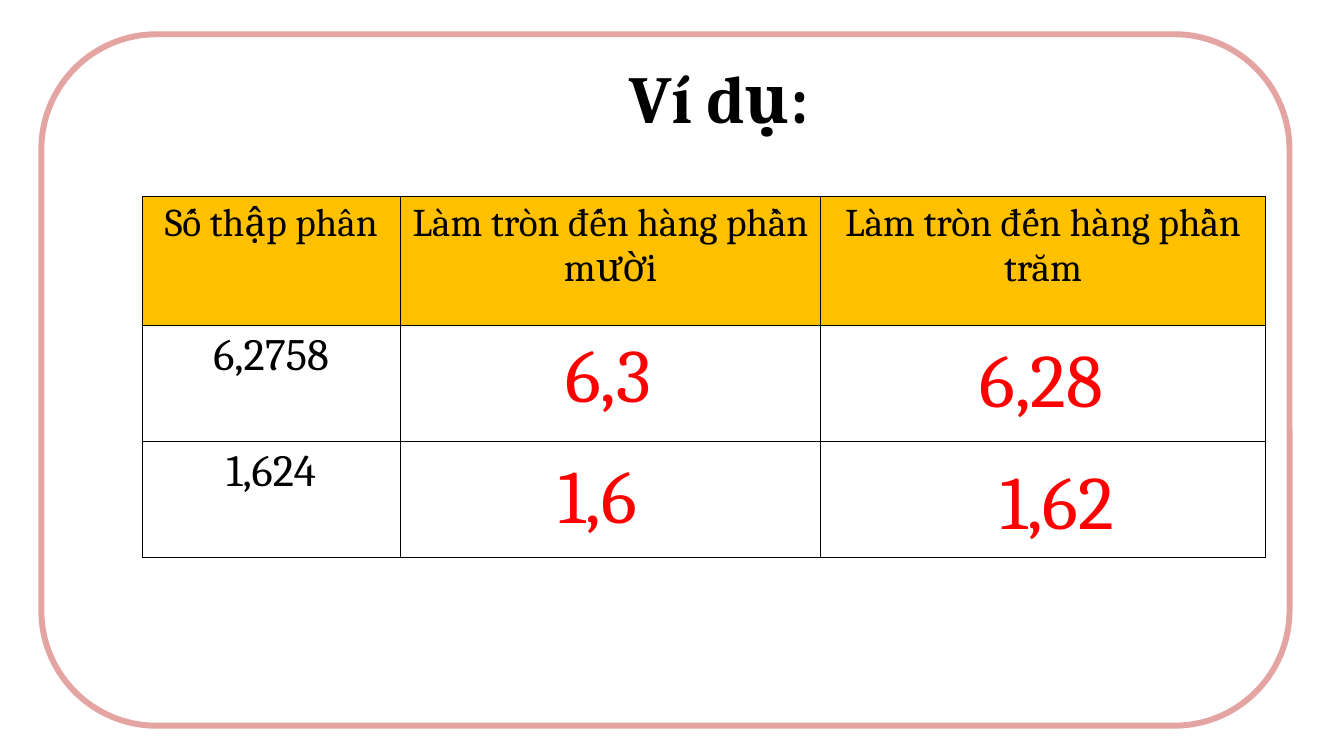
from lxml.etree import SubElement
from pptx import Presentation
from pptx.dml.color import RGBColor
from pptx.enum.shapes import MSO_SHAPE
from pptx.enum.text import MSO_ANCHOR, MSO_AUTO_SIZE, PP_ALIGN
from pptx.oxml.ns import qn
from pptx.util import Inches, Pt


def color(code):
    return RGBColor.from_string(code)


def write(text_frame, text, size, code="000000", bold=False, align=PP_ALIGN.LEFT):
    text_frame.word_wrap = True
    paragraph = text_frame.paragraphs[0]
    paragraph.alignment = align
    span = paragraph.add_run()
    span.text = text
    span.font.name = "Cambria"
    span.font.size = Pt(size)
    span.font.bold = bold
    span.font.color.rgb = color(code)


deck = Presentation()
deck.slide_width = Inches(13.33)
deck.slide_height = Inches(7.5)
page = deck.slides.add_slide(deck.slide_layouts[5])

title = page.shapes.title
title.left, title.top = Inches(6.14), Inches(0.51)
title.width, title.height = Inches(2.31), Inches(0.91)
title.text_frame.auto_size = MSO_AUTO_SIZE.NONE
title.text_frame.vertical_anchor = MSO_ANCHOR.TOP
write(title.text_frame, "Ví dụ:", 48, bold=True)

frame = page.shapes.add_shape(
    MSO_SHAPE.ROUNDED_RECTANGLE, Inches(0.41), Inches(0.34), Inches(12.38), Inches(6.86)
)
frame.shadow.inherit = False
frame.fill.solid()
frame.fill.fore_color.rgb = color("FFFFFF")
frame.line.color.rgb = color("E4A4A2")
frame.line.width = Pt(4.25)
title.element.addprevious(frame.element)

rows = [
    ["Số thập phân", "Làm tròn đến hàng phần mười", "Làm tròn đến hàng phần trăm"],
    ["6,2758", "", ""],
    ["1,624", "", ""],
]
row_heights = [1.28, 1.15, 1.15]
column_widths = [2.56, 4.17, 4.41]
table = page.shapes.add_table(
    len(rows), len(column_widths), Inches(1.41), Inches(1.95), Inches(11.13), Inches(3.59)
).table
for column, width in zip(table.columns, column_widths):
    column.width = Inches(width)
for row, height in zip(table.rows, row_heights):
    row.height = Inches(height)

for row_index, texts in enumerate(rows):
    size, fill = (28, "FFC000") if row_index == 0 else (32, "FFFFFF")
    for column_index, text in enumerate(texts):
        cell = table.cell(row_index, column_index)
        properties = cell._tc.get_or_add_tcPr()
        for side in ("a:lnL", "a:lnR", "a:lnT", "a:lnB"):
            border = SubElement(properties, qn(side), w=str(Pt(1)))
            solid = SubElement(border, qn("a:solidFill"))
            SubElement(solid, qn("a:srgbClr"), val="000000")
        cell.fill.solid()
        cell.fill.fore_color.rgb = color(fill)
        if text:
            write(cell.text_frame, text, size, align=PP_ALIGN.CENTER)

answers = [
    ("6,3", 5.51, 3.19),
    ("6,28", 9.62, 3.24),
    ("1,6", 5.44, 4.39),
    ("1,62", 9.82, 4.45),
]
for text, left, top in answers:
    box = page.shapes.add_textbox(Inches(left), Inches(top), Inches(1.62), Inches(1.01))
    write(box.text_frame, text, 54, code="FF0000")

deck.save("out.pptx")
